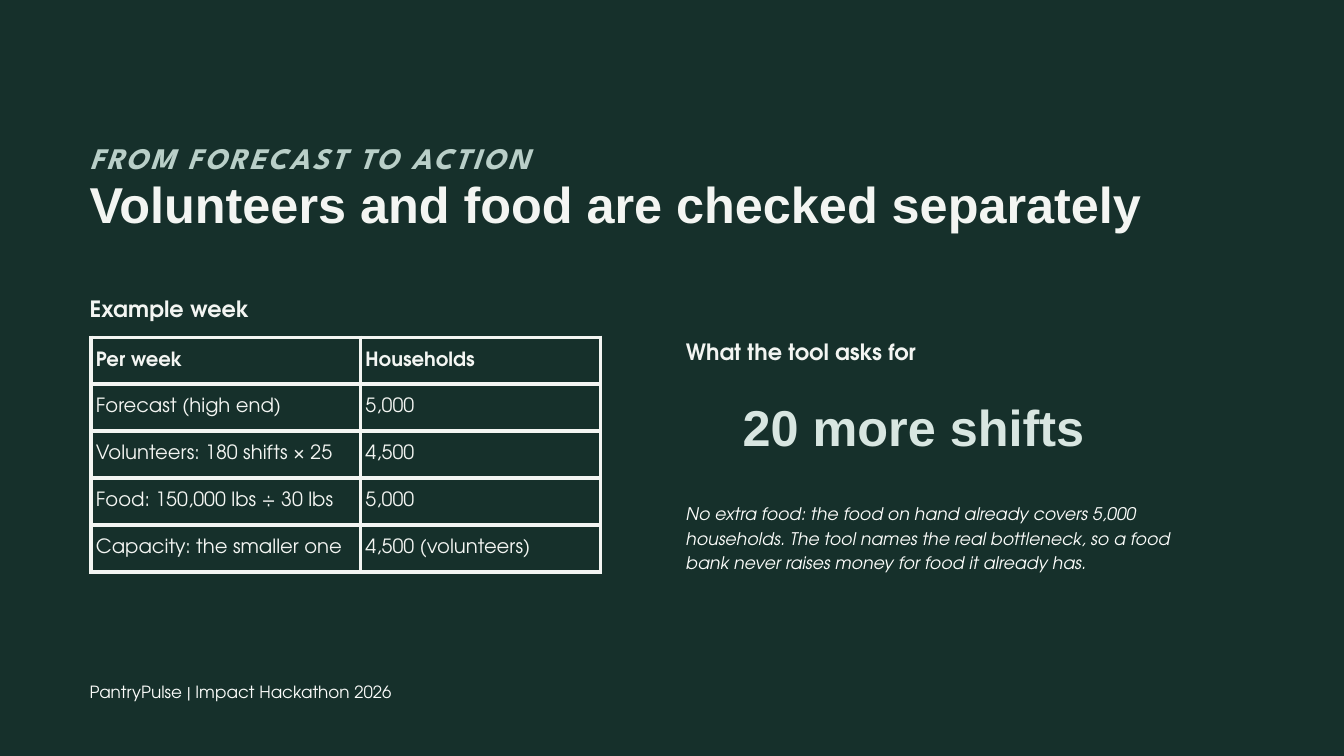
from lxml import etree
from pptx import Presentation
from pptx.dml.color import RGBColor
from pptx.enum import text
from pptx.oxml import ns
from pptx import util as u

PX = 9525  # EMU; the slide is 1920 by 1080 px

GREEN = RGBColor(0x16, 0x30, 0x2B)
SAGE = RGBColor(0xB9, 0xCF, 0xC8)
MINT = RGBColor(0xD8, 0xE6, 0xE1)
CREAM = RGBColor(0xF3, 0xF5, 0xF2)
WHITE = RGBColor(0xFB, 0xFC, 0xFA)

BODY = "TeX Gyre Adventor"
# font, size, line spacing, colour, bold, italic, letter spacing (points)
STYLES = {
    "kicker": ("League Spartan", 32, 44.8, SAGE, True, True, 2.7),
    "title": ("Arial", 54, 59.4, CREAM, True, False, 0),
    "heading": (BODY, 24, 28.8, CREAM, True, False, 0),
    "header": (BODY, 21, 29.4, CREAM, True, False, 0),
    "cell": (BODY, 21, 29.4, CREAM, False, False, 0),
    "figure": ("Arial", 54, 59.4, MINT, True, False, 0),
    "note": (BODY, 18.6, 26.1, WHITE, False, True, 0),
    "footer": (BODY, 18, 25.2, WHITE, False, False, 0),
}

TITLE = ("Volunteers and food are checked separately", (128, 255, 1714, 82))
TEXTS = [
    ("kicker", "FROM FORECAST TO ACTION", (128, 191, 1714, 57)),
    ("heading", "Example week", (128, 422, 832, 41)),
    ("heading", "What the tool asks for", (980, 483, 832, 41)),
    ("figure", "20 more shifts", (1061, 573, 489, 84)),
    ("note", "No extra food: the food on hand already covers 5,000 households. "
             "The tool names the real bottleneck, so a food bank never raises "
             "money for food it already has.", (980, 714, 739, 104)),
    ("footer", "PantryPulse | Impact Hackathon 2026", (128, 969, 1714, 32)),
]

WEEK = [
    ("Per week", "Households"),
    ("Forecast (high end)", "5,000"),
    ("Volunteers: 180 shifts × 25", "4,500"),
    ("Food: 150,000 lbs ÷ 30 lbs", "5,000"),
    ("Capacity: the smaller one", "4,500 (volunteers)"),
]
WEEK_LEFT, WEEK_TOP = 130, 482
COLUMN_WIDTHS = (385, 343)
ROW_HEIGHT = 67
CELL_MARGIN = 7
BORDER = 4.5  # points


def emu(lengths):
    return [length * PX for length in lengths]


def write(frame, words, style):
    font_name, size, spacing, colour, bold, italic, tracking = STYLES[style]
    paragraph = frame.paragraphs[0]
    paragraph.alignment = text.PP_ALIGN.LEFT
    paragraph.line_spacing = u.Pt(spacing)
    run = paragraph.add_run()
    run.text = words
    font = run.font
    font.name, font.size = font_name, u.Pt(size)
    font.bold, font.italic = bold, italic
    font.color.rgb = colour
    if tracking:
        run._r.get_or_add_rPr().set("spc", str(round(tracking * 100)))


def fit(frame):
    """Wrap the text from the top left corner, without margins."""
    frame.word_wrap = True
    frame.auto_size = text.MSO_AUTO_SIZE.NONE
    frame.vertical_anchor = text.MSO_ANCHOR.TOP
    frame.margin_left = frame.margin_right = 0
    frame.margin_top = frame.margin_bottom = 0


def add_borders(cell):
    properties = cell._tc.get_or_add_tcPr()
    for side in ("a:lnL", "a:lnR", "a:lnT", "a:lnB"):
        line = etree.SubElement(properties, ns.qn(side), w=str(u.Pt(BORDER)))
        fill = etree.SubElement(line, ns.qn("a:solidFill"))
        etree.SubElement(fill, ns.qn("a:srgbClr"), val=str(CREAM))


def add_week_table(slide):
    area = emu((WEEK_LEFT, WEEK_TOP, sum(COLUMN_WIDTHS), ROW_HEIGHT * len(WEEK)))
    table = slide.shapes.add_table(len(WEEK), len(COLUMN_WIDTHS), *area).table
    table.horz_banding = False
    for column, width in zip(table.columns, COLUMN_WIDTHS):
        column.width = width * PX
    for r, entries in enumerate(WEEK):
        table.rows[r].height = ROW_HEIGHT * PX
        for c, words in enumerate(entries):
            cell = table.cell(r, c)
            cell.margin_left = cell.margin_right = CELL_MARGIN * PX
            cell.margin_top = cell.margin_bottom = CELL_MARGIN * PX
            add_borders(cell)
            cell.fill.background()
            write(cell.text_frame, words, "cell" if r else "header")


def main():
    deck = Presentation()
    deck.slide_width, deck.slide_height = emu((1920, 1080))
    slide = deck.slides.add_slide(deck.slide_layouts[5])
    slide.background.fill.solid()
    slide.background.fill.fore_color.rgb = GREEN

    words, area = TITLE
    title = slide.shapes.title
    title.left, title.top, title.width, title.height = emu(area)
    fit(title.text_frame)
    write(title.text_frame, words, "title")

    for style, words, area in TEXTS:
        frame = slide.shapes.add_textbox(*emu(area)).text_frame
        fit(frame)
        write(frame, words, style)

    add_week_table(slide)
    deck.save("out.pptx")


if __name__ == "__main__":
    main()
